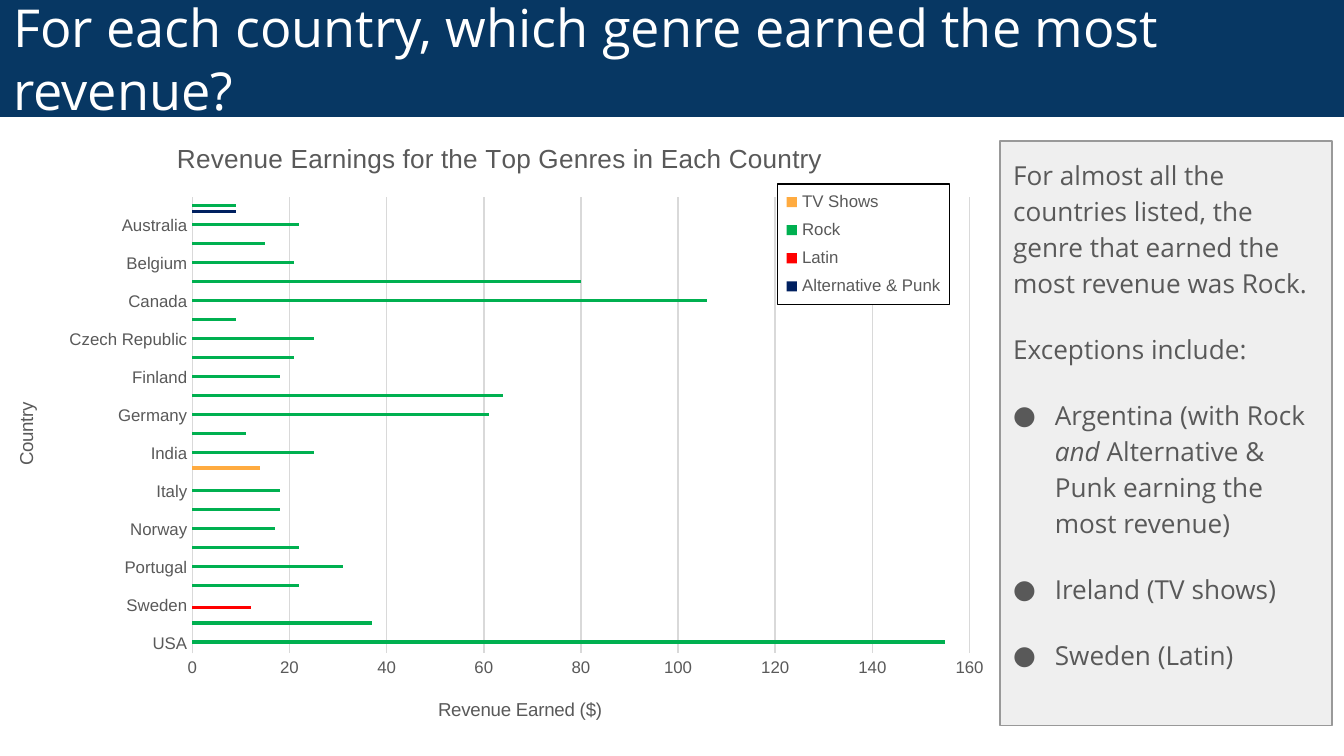
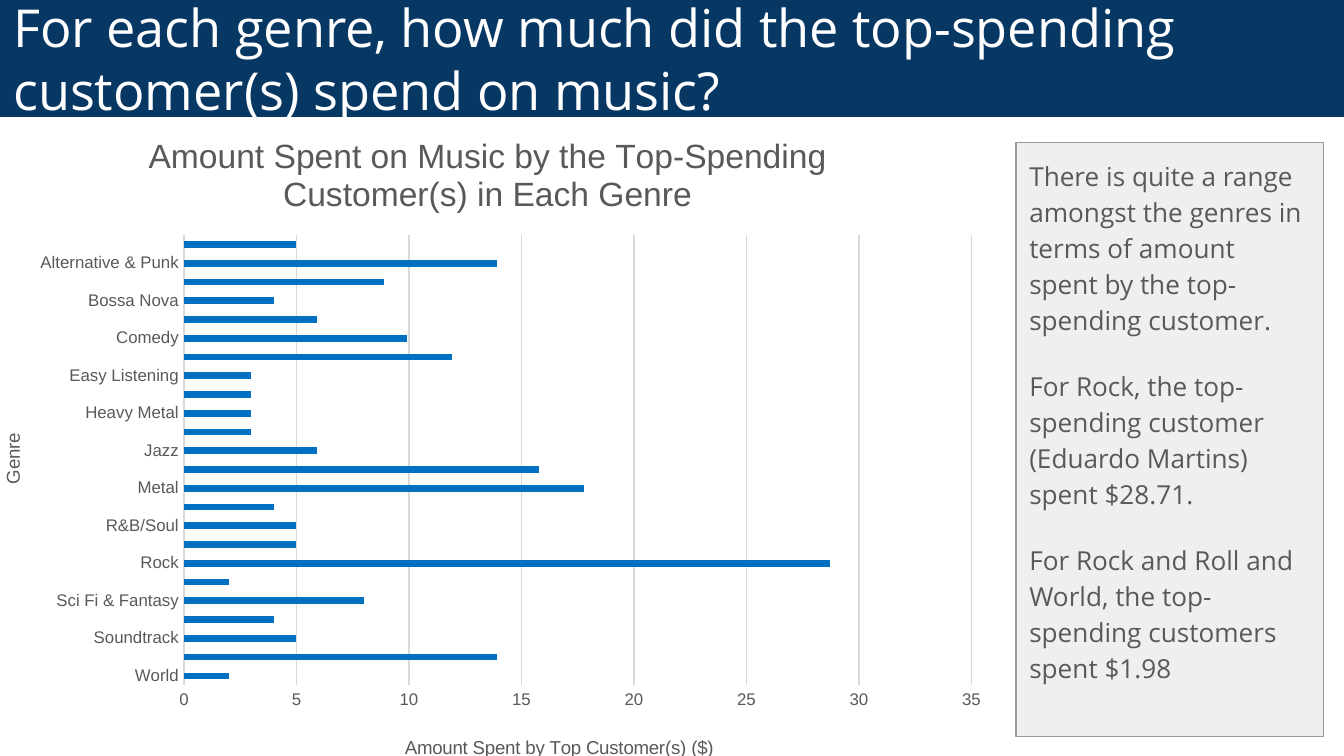
from lxml import etree
from pptx import Presentation
from pptx.chart.data import CategoryChartData
from pptx.dml.color import RGBColor
from pptx.enum.chart import XL_CHART_TYPE, XL_LEGEND_POSITION, XL_TICK_MARK
from pptx.enum.shapes import MSO_SHAPE
from pptx.enum.text import MSO_ANCHOR, MSO_AUTO_SIZE, PP_ALIGN
from pptx.oxml import parse_xml
from pptx.oxml.ns import nsdecls, qn
from pptx.util import Inches, Pt

COLORS = {
    "band": "073763", "white": "FFFFFF", "panel": "EFEFEF", "border": "999999",
    "text": "595959", "grid": "D9D9D9", "black": "000000",
    "punk": "002060", "latin": "FF0000", "rock": "00B050", "tv": "FFAB40",
    "spend": "0070C0",
}
TEXT_FONT, CHART_FONT = "Open Sans", "Arial"
BULLET_INDENT = Inches(0.31)

COUNTRIES = [
    "USA", "United Kingdom", "Sweden", "Spain", "Portugal", "Poland", "Norway",
    "Netherlands", "Italy", "Ireland", "India", "Hungary", "Germany", "France",
    "Finland", "Denmark", "Czech Republic", "Chile", "Canada", "Brazil",
    "Belgium", "Austria", "Australia", "Argentina",
]
# Series name, colour, revenue by country
REVENUE = [
    ("Alternative & Punk", "punk", {"Argentina": 9}),
    ("Latin", "latin", {"Sweden": 12}),
    ("Rock", "rock", {
        "USA": 155, "United Kingdom": 37, "Spain": 22, "Portugal": 31,
        "Poland": 22, "Norway": 17, "Netherlands": 18, "Italy": 18, "India": 25,
        "Hungary": 11, "Germany": 61, "France": 64, "Finland": 18, "Denmark": 21,
        "Czech Republic": 25, "Chile": 9, "Canada": 106, "Brazil": 80,
        "Belgium": 21, "Austria": 15, "Australia": 22, "Argentina": 9}),
    ("TV Shows", "tv", {"Ireland": 14}),
]
SPENDING = {
    "World": 2, "TV Shows": 13.9, "Soundtrack": 5, "Science Fiction": 4,
    "Sci Fi & Fantasy": 8, "Rock And Roll": 2, "Rock": 28.7, "Reggae": 5,
    "R&B/Soul": 5, "Pop": 4, "Metal": 17.8, "Latin": 15.8, "Jazz": 5.9,
    "Hip Hop/Rap": 3, "Heavy Metal": 3, "Electronica/Dance": 3,
    "Easy Listening": 3, "Drama": 11.9, "Comedy": 9.9, "Classical": 5.9,
    "Bossa Nova": 4, "Blues": 8.9, "Alternative & Punk": 13.9, "Alternative": 5,
}


def rgb(name):
    """Look up a palette colour."""
    return RGBColor.from_string(COLORS[name])


def style_font(font, size, color, name=CHART_FONT):
    """Set face, size and colour of a font."""
    font.name, font.size, font.bold = name, Pt(size), False
    font.color.rgb = rgb(color)


def add_run(p, text, size, color, italic=False):
    """Append a run in the text font."""
    r = p.add_run()
    r.text = text
    style_font(r.font, size, color, TEXT_FONT)
    if italic:
        r.font.italic = True


def add_box(s, box, fill, line=None):
    """Add a flat rectangle and return it."""
    sp = s.shapes.add_shape(MSO_SHAPE.RECTANGLE, *map(Inches, box))
    sp.shadow.inherit = False
    sp.fill.solid()
    sp.fill.fore_color.rgb = rgb(fill)
    if line:
        sp.line.color.rgb = rgb(line)
        sp.line.width = Pt(0.75)
    else:
        sp.line.fill.background()
    tf = sp.text_frame
    tf.word_wrap = True
    tf.auto_size = MSO_AUTO_SIZE.NONE
    tf.margin_left = tf.margin_right = tf.margin_top = tf.margin_bottom = Inches(0.1)
    return sp


def add_title(s, text):
    """Add the title band across the top."""
    tf = add_box(s, (0, 0, 10, 0.87), "band").text_frame
    tf.vertical_anchor = MSO_ANCHOR.MIDDLE
    p = tf.paragraphs[0]
    p.alignment = PP_ALIGN.LEFT
    add_run(p, text, 28, "white")


def add_bullet(p):
    """Give a paragraph a hanging round bullet."""
    pPr = p._p.get_or_add_pPr()
    pPr.set("marL", str(BULLET_INDENT))
    pPr.set("indent", str(-BULLET_INDENT))
    color = etree.SubElement(pPr, qn("a:buClr"))
    etree.SubElement(color, qn("a:srgbClr")).set("val", COLORS["text"])
    etree.SubElement(pPr, qn("a:buFont")).set("typeface", TEXT_FONT)
    etree.SubElement(pPr, qn("a:buChar")).set("char", "●")


def add_panel(s, box, paragraphs, bullets=()):
    """Add the side panel: plain paragraphs, then bullets of (text, italic) runs."""
    tf = add_box(s, box, "panel", "border").text_frame
    tf.vertical_anchor = MSO_ANCHOR.TOP
    items = [[(text, False)] for text in paragraphs] + list(bullets)
    for i, runs in enumerate(items):
        p = tf.add_paragraph() if i else tf.paragraphs[0]
        p.alignment = PP_ALIGN.LEFT
        p.line_spacing = 1.15
        p.space_after = Pt(16)
        if i >= len(paragraphs):
            add_bullet(p)
        for text, italic in runs:
            add_run(p, text, 14, "text", italic)


def place(element, x, y, w=None, h=None, inner=False):
    """Give a chart part a manual layout in fractions of the chart."""
    for old in element.findall(qn("c:layout")):
        element.remove(old)
    values = [("xMode", "edge"), ("yMode", "edge"), ("x", x), ("y", y)]
    if inner:
        values.insert(0, ("layoutTarget", "inner"))
    if w:
        values += [("w", w), ("h", h)]
    tags = "".join(f'<c:{tag} val="{val}"/>' for tag, val in values)
    layout = parse_xml(f'<c:layout {nsdecls("c")}><c:manualLayout>{tags}'
                       '</c:manualLayout></c:layout>')
    before = [el for el in element if el.tag in (qn("c:tx"), qn("c:legendPos"))]
    element.insert(len(before), layout)


def set_title(title, text, size, xy):
    """Write and place the title of a chart or an axis."""
    r = title.text_frame.paragraphs[0].add_run()
    r.text = text
    style_font(r.font, size, "text")
    place(title._element, *xy)


def style_axis(axis, text, xy):
    """Style the labels and title of an axis."""
    axis.major_tick_mark = axis.minor_tick_mark = XL_TICK_MARK.NONE
    style_font(axis.tick_labels.font, 9, "text")
    set_title(axis.axis_title, text, 10, xy)


def add_bar_chart(s, box, categories, series, title, cat_title, val_title, plot):
    """Add a horizontal bar chart; each title is text, place (and size)."""
    data = CategoryChartData()
    data.categories = categories
    for name, _, values in series:
        data.add_series(name, [values.get(c) for c in categories])
    chart = s.shapes.add_chart(XL_CHART_TYPE.BAR_CLUSTERED,
                               *map(Inches, box), data).chart
    style_font(chart.font, 10, "black")
    chart.has_legend = False
    text, xy, size = title
    set_title(chart.chart_title, text, size, xy)
    place(chart._chartSpace.chart.plotArea, *plot, inner=True)

    bars = chart.plots[0]
    bars.gap_width, bars.overlap, bars.vary_by_categories = 182, 0, False
    for ser, (_, color, _) in zip(bars.series, series):
        ser.invert_if_negative = False
        ser.format.fill.solid()
        ser.format.fill.fore_color.rgb = rgb(color)

    cat, val = chart.category_axis, chart.value_axis
    style_axis(cat, *cat_title)
    style_axis(val, *val_title)
    val.has_major_gridlines = True
    for line in (cat.format.line, val.major_gridlines.format.line):
        line.color.rgb = rgb("grid")
        line.width = Pt(0.75)
    val.format.line.fill.background()
    val.minimum_scale = 0
    return chart


def add_legend(chart, layout):
    """Add a framed legend over the plot."""
    chart.has_legend = True
    legend = chart.legend
    legend.position = XL_LEGEND_POSITION.BOTTOM
    legend.include_in_layout = False
    style_font(legend.font, 9, "text")
    place(legend._element, *layout)
    frame = parse_xml(
        f'<c:spPr {nsdecls("c", "a")}><a:solidFill>'
        f'<a:srgbClr val="{COLORS["white"]}"/></a:solidFill>'
        f'<a:ln w="9525"><a:solidFill><a:srgbClr val="{COLORS["black"]}"/>'
        '</a:solidFill></a:ln></c:spPr>')
    legend._element.find(qn("c:txPr")).addprevious(frame)


def add_country_slide(s):
    """Top genre by revenue in each country."""
    add_panel(s, (7.44, 1.05, 2.47, 4.35), [
        "For almost all the countries listed, the genre that earned the most "
        "revenue was Rock.",
        "Exceptions include:",
    ], [
        [("Argentina (with Rock ", False), ("and ", True),
         ("Alternative & Punk earning the most revenue)", False)],
        [("Ireland (TV shows)", False)],
        [("Sweden (Latin)", False)],
    ])
    add_title(s, "For each country, which genre earned the most revenue?")
    chart = add_bar_chart(
        s, (-0.07, 0.87, 7.51, 4.99), COUNTRIES, REVENUE,
        ("Revenue Earnings for the Top Genres in Each Country", (0.18, 0.03), 14),
        ("Country", (0.02, 0.42)), ("Revenue Earned ($)", (0.44, 0.86)),
        (0.2, 0.12, 0.77, 0.68))
    chart.value_axis.maximum_scale = 160
    add_legend(chart, (0.78, 0.1, 0.17, 0.18))


def add_genre_slide(s):
    """Spending of the top customers in each genre."""
    add_panel(s, (7.56, 1.06, 2.29, 4.42), [
        "There is quite a range amongst the genres in terms of amount spent by "
        "the top-spending customer. ",
        "For Rock, the top-spending customer (Eduardo Martins) spent $28.71. ",
        "For Rock and Roll and World, the top-spending customers spent $1.98",
    ])
    add_title(s, "For each genre, how much did the top-spending customer(s) "
                 "spend on music?")
    add_bar_chart(
        s, (-0.25, 0.8, 7.71, 5), list(SPENDING),
        [("Series 1", "spend", SPENDING)],
        ("Amount Spent on Music by the Top-Spending Customer(s) in Each Genre",
         (0.17, 0.03), 18),
        ("Genre", (0.03, 0.48)),
        ("Amount Spent by Top Customer(s) ($)", (0.42, 0.93)),
        (0.21, 0.19, 0.76, 0.67))


def main():
    """Build both slides and save them."""
    prs = Presentation()
    prs.slide_width = Inches(10)
    prs.slide_height = prs.slide_width * 9 // 16
    for build in (add_country_slide, add_genre_slide):
        build(prs.slides.add_slide(prs.slide_layouts[6]))
    prs.save("out.pptx")


main()
